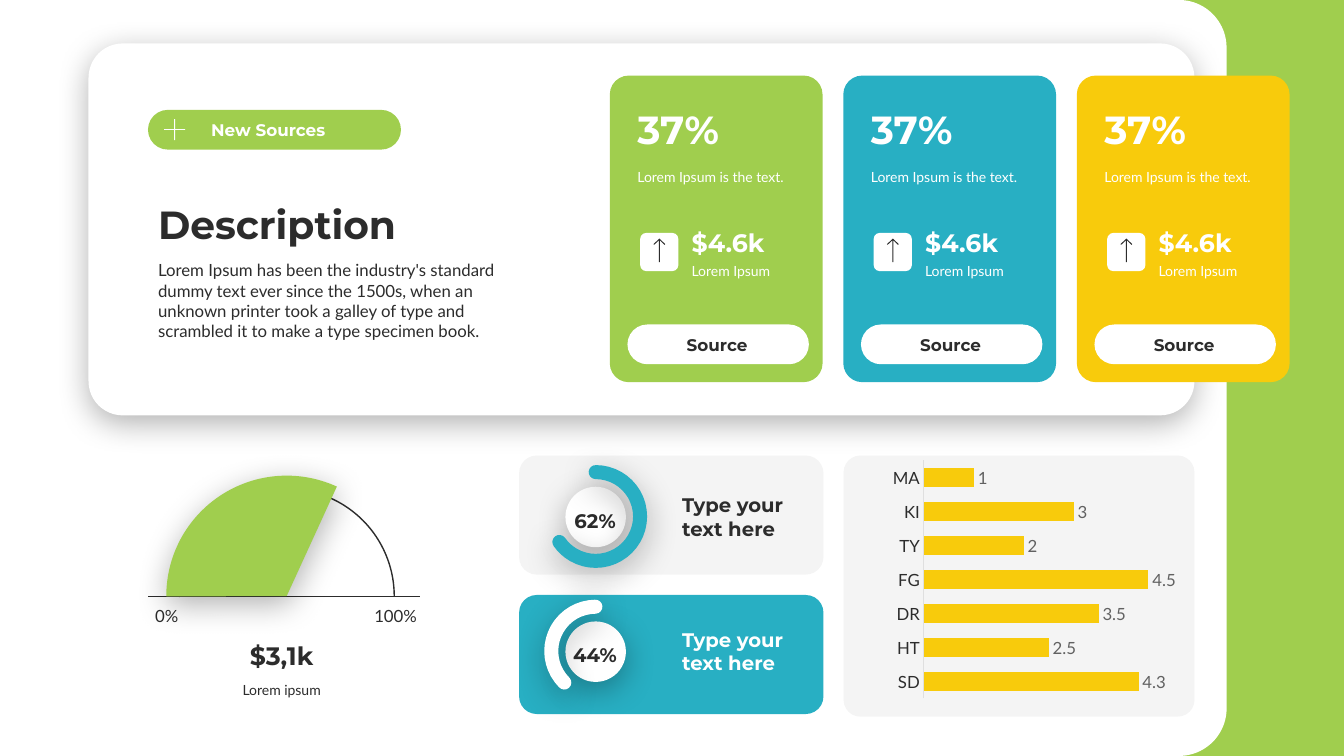
import collections

import pptx
import pptx.chart.data
import pptx.dml.color
import pptx.enum.chart
import pptx.enum.shapes
import pptx.enum.text
import pptx.oxml
import pptx.oxml.ns
import pptx.util

Pt = pptx.util.Pt
RGBColor = pptx.dml.color.RGBColor
SHAPE = pptx.enum.shapes.MSO_SHAPE
ANCHOR = pptx.enum.text.MSO_ANCHOR
ALIGN = pptx.enum.text.PP_ALIGN

GREEN = RGBColor(0xA0, 0xCE, 0x4E)
TEAL = RGBColor(0x28, 0xAF, 0xC3)
YELLOW = RGBColor(0xF8, 0xCB, 0x0C)
DARK = RGBColor(0x2C, 0x2C, 0x2C)
GREY = RGBColor(0x61, 0x61, 0x61)
RULE = RGBColor(0xDF, 0xDF, 0xDF)
WHITE = RGBColor(0xFF, 0xFF, 0xFF)
HEADING, BODY = "Montserrat", "Lato"
NAMESPACE = pptx.oxml.ns.nsdecls("a")

# All boxes are in points
Box = collections.namedtuple("Box", "left top width height")


def inside(box, left, top, width, height):
    return Box(box.left + left, box.top + top, width, height)


def lengths(box):
    return [Pt(value) for value in box]


def add_soft_shadow(shape):
    properties = shape._element.spPr
    for old in properties.findall(pptx.oxml.ns.qn("a:effectLst")):
        properties.remove(old)
    properties.append(pptx.oxml.parse_xml(
        f'<a:effectLst {NAMESPACE}><a:outerShdw blurRad="{Pt(23)}" dist="{Pt(6)}" '
        'dir="5400000" algn="t" rotWithShape="0"><a:srgbClr val="000000">'
        '<a:alpha val="30000"/></a:srgbClr></a:outerShdw></a:effectLst>'))


def style_shape(shape, fill=None, alpha=None, shadow=False):
    shape.shadow.inherit = False
    shape.line.fill.background()
    if fill is None:
        shape.fill.background()
    else:
        shape.fill.solid()
        shape.fill.fore_color.rgb = fill
    if alpha is not None:
        color = shape._element.spPr.find(".//" + pptx.oxml.ns.qn("a:srgbClr"))
        color.append(pptx.oxml.parse_xml(f'<a:alpha {NAMESPACE} val="{alpha * 1000}"/>'))
    if shadow:
        add_soft_shadow(shape)


def add_preset(page, kind, box, fill=None, adjustments=(), alpha=None, shadow=False):
    shape = page.shapes.add_shape(kind, *lengths(box))
    for index, value in enumerate(adjustments):
        shape.adjustments[index] = value
    style_shape(shape, fill, alpha, shadow)
    return shape


def add_arc(page, box, start, end, fill=None, line=None, weight=1, shadow=False):
    # Angles in degrees; the preset counts 60000ths of a degree
    arc = add_preset(page, SHAPE.ARC, box, fill, (start * 0.6, end * 0.6), shadow=shadow)
    if line is not None:
        arc.line.color.rgb = line
        arc.line.width = Pt(weight)
        arc.line._ln.set("cap", "rnd")


def add_outline(page, points, fill):
    points = [(Pt(x), Pt(y)) for x, y in points]
    builder = page.shapes.build_freeform(*points[0])
    builder.add_line_segments(points[1:])
    style_shape(builder.convert_to_shape(), fill)


def write(shape, text, size, color, font=HEADING, align=ALIGN.LEFT, anchor=ANCHOR.TOP,
          inset=7.2, right=7.2, wrap=True):
    frame = shape.text_frame
    frame.text = text
    frame.word_wrap = wrap
    frame.auto_size = pptx.enum.text.MSO_AUTO_SIZE.NONE
    frame.vertical_anchor = anchor
    frame.margin_left, frame.margin_right = Pt(inset), Pt(right)
    frame.margin_top = frame.margin_bottom = Pt(3.6)
    para = frame.paragraphs[0]
    para.alignment = align
    para.space_before = Pt(0)
    for span in para.runs:
        span.font.name, span.font.size = font, Pt(size)
        span.font.bold = font == HEADING
        span.font.color.rgb = color


def add_text(page, box, *content, **options):
    write(page.shapes.add_textbox(*lengths(box)), *content, **options)


def draw_background(page, box):
    add_preset(page, SHAPE.RECTANGLE, inside(box, 780, 0, box.width - 780, box.height), GREEN)
    add_preset(page, SHAPE.ROUNDED_RECTANGLE, inside(box, 0, 0, 876.2, box.height),
               WHITE, [0.063])


def draw_description(page, box):
    add_preset(page, SHAPE.ROUNDED_RECTANGLE, box, WHITE, [0.092], shadow=True)
    # Badge with a thin plus sign
    badge = add_preset(page, SHAPE.ROUNDED_RECTANGLE, inside(box, 42.5, 47.5, 180.7, 28.4),
                       GREEN, [0.5])
    write(badge, "New Sources", 12, WHITE, anchor=ANCHOR.MIDDLE, inset=41)
    x, y, arm, half = box.left + 61.6, box.top + 61.5, 7.5, 0.35
    add_outline(page, [
        (x + half, y - half), (x + arm, y - half), (x + arm, y + half), (x + half, y + half),
        (x + half, y + arm), (x - half, y + arm), (x - half, y + half), (x - arm, y + half),
        (x - arm, y - half), (x - half, y - half), (x - half, y - arm), (x + half, y - arm),
    ], WHITE)
    # Title and body placeholders, brought in front of the panel
    title, body = page.shapes.title, page.placeholders[1]
    for holder, area in ((title, inside(box, 42.5, 108, 265, 41)),
                         (body, inside(box, 42.5, 151.2, 265, 65.5))):
        holder.left, holder.top, holder.width, holder.height = lengths(area)
        page.shapes.element.append(holder.element)
    write(title, "Description", 28, DARK, anchor=ANCHOR.BOTTOM)
    write(body, "Lorem Ipsum has been the industry's standard dummy text ever since the "
          "1500s, when an unknown printer took a galley of type and scrambled it to make "
          "a type specimen book.", 12, DARK, BODY)
    settings = body.text_frame.paragraphs[0]._p.get_or_add_pPr()
    settings.set("marL", "0")
    settings.set("indent", "0")
    settings.append(pptx.oxml.parse_xml(f"<a:buNone {NAMESPACE}/>"))


def draw_source_card(page, box, color):
    add_preset(page, SHAPE.ROUNDED_RECTANGLE, box, color, [0.089])
    add_text(page, inside(box, 12.6, 62.6, 132.5, 19.4), "Lorem Ipsum is the text.",
             10, WHITE, BODY)
    add_text(page, inside(box, 12.6, 17.3, 135.4, 41), "37%", 28, WHITE, anchor=ANCHOR.BOTTOM)
    # Up arrow on a white tile
    add_preset(page, SHAPE.ROUNDED_RECTANGLE, inside(box, 21.6, 112.3, 27.4, 27.4), WHITE)
    x, y = box.left + 35.4, box.top + 116.4
    add_outline(page, [
        (x, y), (x + 4.2, y + 4), (x + 3.7, y + 4.5), (x + 0.35, y + 1.2),
        (x + 0.35, y + 16.8), (x - 0.35, y + 16.8), (x - 0.35, y + 1.2),
        (x - 3.7, y + 4.5), (x - 4.2, y + 4),
    ], DARK)
    add_text(page, inside(box, 58.4, 130.3, 74.9, 19.4), "Lorem Ipsum", 10, WHITE, BODY,
             inset=0, right=0)
    add_text(page, inside(box, 58.4, 104.4, 74.9, 28.8), "$4.6k", 18, WHITE,
             anchor=ANCHOR.BOTTOM, inset=0, right=0)
    button = add_preset(page, SHAPE.ROUNDED_RECTANGLE, inside(box, 12.6, 177.8, 129.6, 28.4),
                        WHITE, [0.5])
    write(button, "Source", 12, DARK, align=ALIGN.CENTER, anchor=ANCHOR.MIDDLE, right=8.6)


def draw_gauge(page, box):
    add_arc(page, inside(box, 22.4, 9.4, 153.4, 153.4), 179.82, 0, line=DARK)
    base = page.shapes.add_connector(
        pptx.enum.shapes.MSO_CONNECTOR.STRAIGHT, Pt(box.left), Pt(box.top + 86.4),
        Pt(box.left + box.width), Pt(box.top + 86.4))
    base.line.color.rgb, base.line.width = DARK, Pt(1)
    base._element.spPr.append(pptx.oxml.parse_xml(f"<a:effectLst {NAMESPACE}/>"))
    for text, left, width in (("0%", 5, 16.6), ("100%", 161.3, 31)):
        add_text(page, inside(box, left, 92.9, width, 14.4), text, 12, DARK, BODY,
                 align=ALIGN.CENTER, anchor=ANCHOR.MIDDLE, inset=0, right=0, wrap=False)
    add_arc(page, inside(box, 13, 0, 172, 172), 179.82, 294.62, fill=GREEN, shadow=True)
    add_text(page, inside(box, 8.6, 143.3, 173.5, 19.4), "Lorem ipsum", 10, DARK, BODY,
             align=ALIGN.CENTER)
    add_text(page, inside(box, 8.6, 113.8, 173.5, 28.8), "$3,1k", 18, DARK,
             align=ALIGN.CENTER, anchor=ANCHOR.BOTTOM)


def draw_ring_card(page, box, percent, fill, alpha, ring, angles, text_color, lift):
    add_preset(page, SHAPE.ROUNDED_RECTANGLE, box, fill, [0.148], alpha=alpha)
    content = box._replace(top=box.top - lift)
    add_preset(page, SHAPE.OVAL, inside(content, 33.1, 22.3, 43.2, 43.2), WHITE, shadow=True)
    add_text(page, inside(content, 30.2, 33.8, 48.2, 24.5), percent, 14, DARK,
             align=ALIGN.CENTER, anchor=ANCHOR.BOTTOM)
    add_arc(page, inside(content, 23, 11.8, 63.4, 63.4), *angles, line=ring, weight=10,
            shadow=True)
    add_text(page, inside(content, 109.4, 23.2, 93.6, 41), "Type your text here", 14,
             text_color, anchor=ANCHOR.MIDDLE)


def draw_bar_panel(page, box):
    add_preset(page, SHAPE.ROUNDED_RECTANGLE, box, DARK, [0.064], alpha=5)
    data = pptx.chart.data.CategoryChartData()
    data.categories = ["SD", "HT", "DR", "FG", "TY", "KI", "MA"]
    data.add_series("Series 1", [4.3, 2.5, 3.5, 4.5, 2, 3, 1])
    chart = page.shapes.add_chart(pptx.enum.chart.XL_CHART_TYPE.BAR_CLUSTERED,
                                  *lengths(inside(box, 31, 0, 208.8, 177)), data).chart
    chart.has_legend = chart.has_title = False
    chart.font.name, chart.font.size = BODY, Pt(10)
    chart.font.color.rgb = DARK
    values, categories = chart.value_axis, chart.category_axis
    values.visible = values.has_major_gridlines = False
    values.minimum_scale, values.maximum_scale = 0, 5
    categories.major_tick_mark = pptx.enum.chart.XL_TICK_MARK.NONE
    categories.format.line.color.rgb = RULE
    categories.format.line.width = Pt(0.75)
    plot = chart.plots[0]
    plot.gap_width, plot.vary_by_categories = 75, False
    plot.series[0].format.fill.solid()
    plot.series[0].format.fill.fore_color.rgb = YELLOW
    plot.has_data_labels = True
    labels = plot.data_labels
    labels.show_value = True
    labels.position = pptx.enum.chart.XL_LABEL_POSITION.OUTSIDE_END
    for font, color in ((categories.tick_labels.font, DARK), (labels.font, GREY)):
        font.name, font.size, font.color.rgb = BODY, Pt(12), color


def main():
    deck = pptx.Presentation()
    deck.slide_width, deck.slide_height = Pt(960), Pt(540)
    page = deck.slides.add_slide(deck.slide_layouts[1])
    draw_background(page, Box(0, 0, 960, 540))
    draw_description(page, Box(63.2, 31, 790, 265.7))
    for index, color in enumerate((GREEN, TEAL, YELLOW)):
        draw_source_card(page, Box(435.6 + index * 166.8, 54, 152, 219), color)
    draw_gauge(page, Box(105.8, 339.8, 194.4, 163))
    draw_ring_card(page, Box(370.8, 325.4, 217.4, 85), "62%", DARK, 5, TEAL,
                   (270, 144.91), DARK, 0)
    draw_ring_card(page, Box(370.8, 425, 217.4, 85), "44%", TEAL, None, WHITE,
                   (134.91, 269.66), WHITE, 3.4)
    draw_bar_panel(page, Box(602.6, 325.4, 250.6, 186.5))
    deck.save("out.pptx")


if __name__ == "__main__":
    main()
